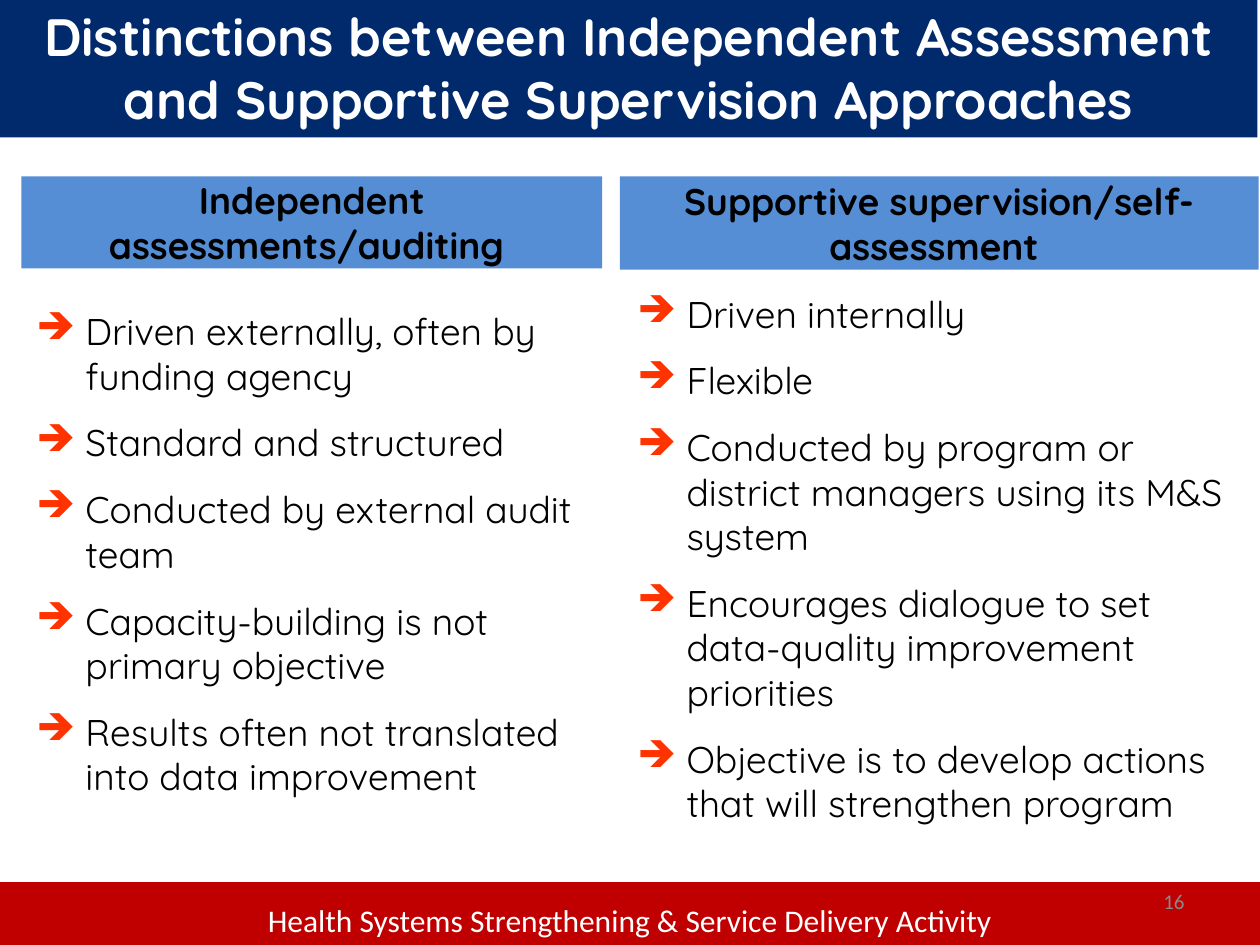
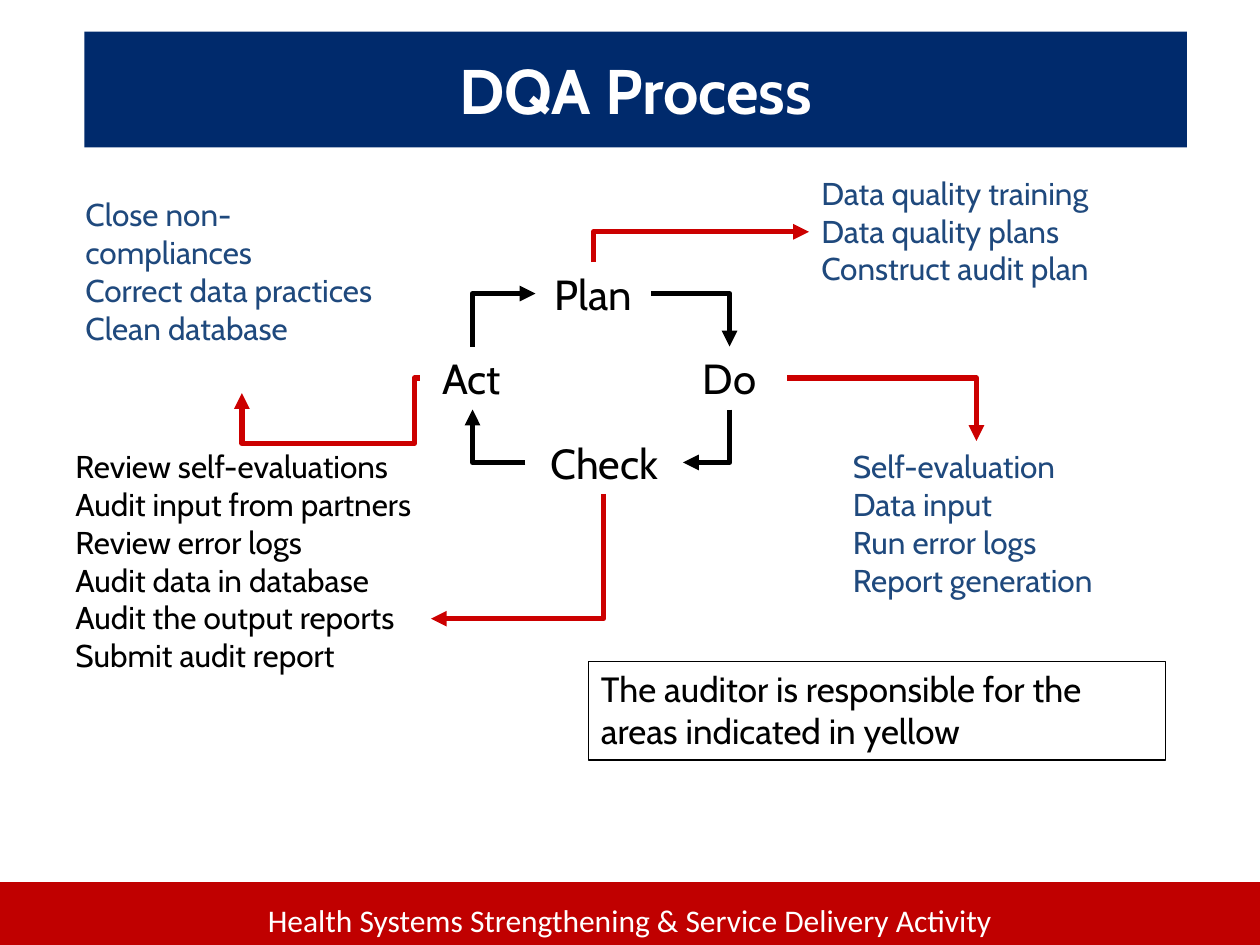
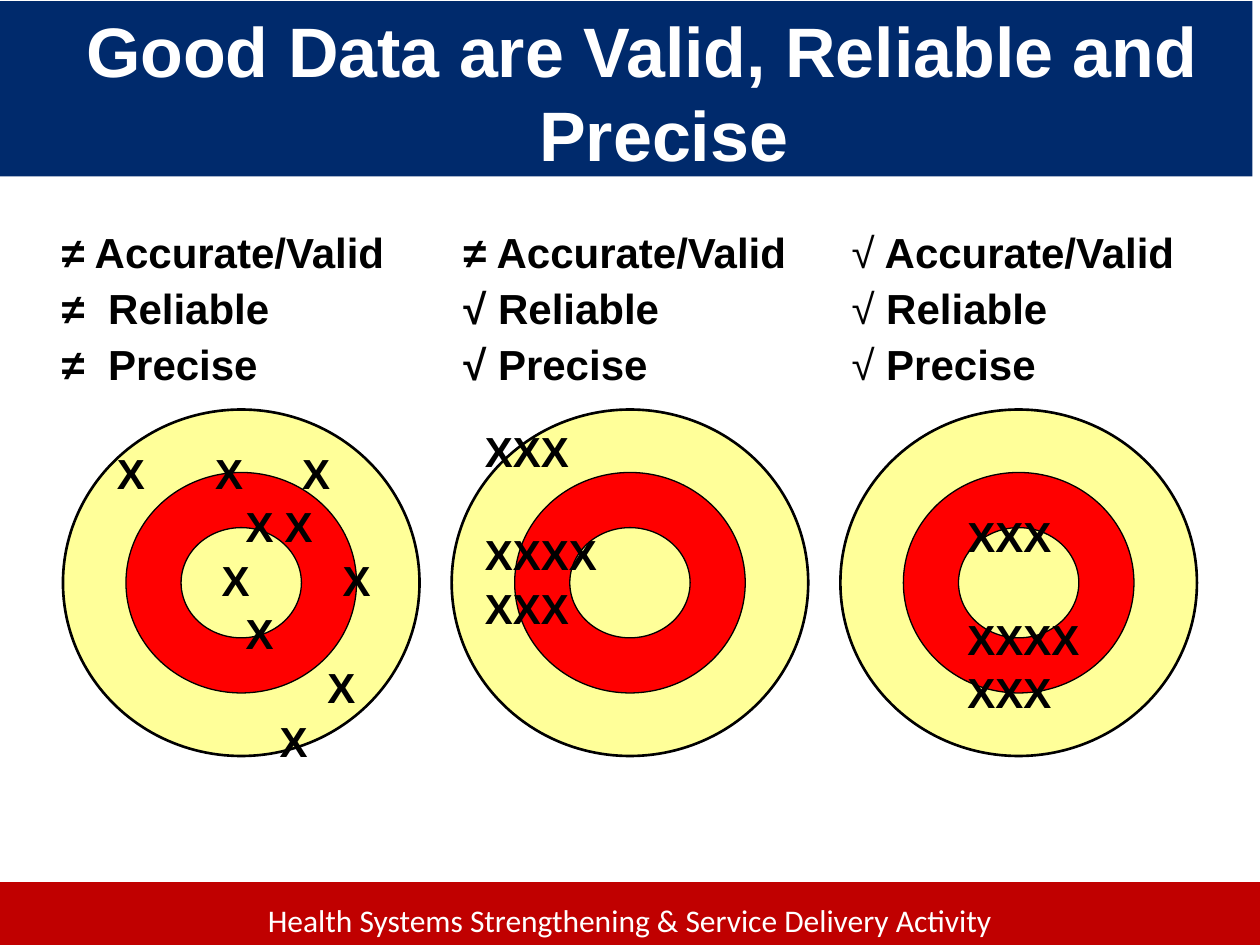
from lxml.etree import SubElement
from pptx import Presentation
from pptx.dml.color import RGBColor
from pptx.enum.shapes import MSO_CONNECTOR, MSO_SHAPE
from pptx.enum.text import MSO_ANCHOR, PP_ALIGN
from pptx.oxml.ns import qn
from pptx.util import Inches, Pt

NAVY = RGBColor(0x00, 0x2A, 0x6C)
RED = RGBColor(0xC0, 0x00, 0x00)
SKY = RGBColor(0x55, 0x8E, 0xD5)
BLUE = RGBColor(0x1F, 0x49, 0x7D)
ORANGE = RGBColor(0xFF, 0x33, 0x00)
ARROW = RGBColor(0xCC, 0x00, 0x00)
CREAM = RGBColor(0xFF, 0xFF, 0x99)
BRIGHT = RGBColor(0xFF, 0x00, 0x00)
GREY = RGBColor(0x89, 0x89, 0x89)
WHITE = RGBColor(0xFF, 0xFF, 0xFF)
BLACK = RGBColor(0x00, 0x00, 0x00)

CENTER = {"alignment": PP_ALIGN.CENTER}
HEAD = {"name": "Quicksand", "size": Pt(21.2), "bold": True}
BODY = {"name": "Quicksand", "size": Pt(21.2)}
STAGE = {"name": "Cabin", "size": Pt(24)}
NOTE = {"name": "Cabin", "size": Pt(18)}
MARK = {"name": "Arial", "size": Pt(24), "bold": True}


def apply(target, values):
    for name, value in values.items():
        setattr(target, name, value)


def add_run(para, text, font, color):
    run = para.add_run()
    run.text = text
    apply(run.font, font)
    run.font.color.rgb = color
    return run


def write(shape, rows, font, color=BLACK, layout=None, anchor=MSO_ANCHOR.TOP):
    frame = shape.text_frame
    apply(frame, {"word_wrap": True, "vertical_anchor": anchor})
    paras = []
    for index, row in enumerate(rows):
        para = frame.add_paragraph() if index else frame.paragraphs[0]
        apply(para, {"alignment": PP_ALIGN.LEFT, **(layout or {})})
        if row:
            add_run(para, row, font, color)
        paras.append(para)
    return paras


def add_text(slide, box, rows, font, color=BLACK, layout=None, anchor=MSO_ANCHOR.TOP):
    shape = slide.shapes.add_textbox(*map(Inches, box))
    return write(shape, rows, font, color, layout, anchor)


def add_form(slide, kind, box, fill=None, line=None, width=1):
    shape = slide.shapes.add_shape(kind, *map(Inches, box))
    shape.shadow.inherit = False
    if fill is None:
        shape.fill.background()
    else:
        shape.fill.solid()
        shape.fill.fore_color.rgb = fill
    if line is None:
        shape.line.fill.background()
    else:
        shape.line.color.rgb = line
        shape.line.width = Pt(width)
    return shape


def add_band(slide, box, text, font, fill=NAVY, color=WHITE, anchor=MSO_ANCHOR.TOP):
    shape = add_form(slide, MSO_SHAPE.RECTANGLE, box, fill)
    return write(shape, [text], font, color, CENTER, anchor)


def set_tabs(para, stops):
    tabs = SubElement(para._p.get_or_add_pPr(), qn("a:tabLst"))
    for stop in stops:
        SubElement(tabs, qn("a:tab"), pos=str(Inches(stop)), algn="l")


def add_list(slide, box, rows):
    space = {"space_before": Pt(4.2), "space_after": Pt(8.5)}
    for para in add_text(slide, box, rows, BODY, layout=space):
        props = para._p.get_or_add_pPr()
        apply_indent(props, 0.39, -0.39)
        color = SubElement(props, qn("a:buClr"))
        SubElement(color, qn("a:srgbClr"), val=str(ORANGE))
        SubElement(props, qn("a:buChar"), char="➔")


def apply_indent(props, left, first):
    props.set("marL", str(Inches(left)))
    props.set("indent", str(Inches(first)))


def add_bend(slide, start, end, color, kind="bentConnector2", turn=0, bends=()):
    mid = [(a + b) / 2 for a, b in zip(start, end)]
    half = [(b - a) / 2 for a, b in zip(start, end)]
    if turn:
        half = [abs(side) for side in half]
        if turn % 2:
            half.reverse()
    ends = [m - h for m, h in zip(mid, half)] + [m + h for m, h in zip(mid, half)]
    link = slide.shapes.add_connector(MSO_CONNECTOR.ELBOW, *map(Inches, ends))
    link.line.color.rgb = color
    link.line.width = Pt(3)
    props = link._element.spPr
    if turn:
        props.find(qn("a:xfrm")).set("rot", str(turn * 5400000))
    shape = props.find(qn("a:prstGeom"))
    shape.set("prst", kind)
    guides = shape.find(qn("a:avLst"))
    for index, bend in enumerate(bends, 1):
        SubElement(guides, qn("a:gd"), name=f"adj{index}", fmla=f"val {bend}")
    SubElement(props.find(qn("a:ln")), qn("a:tailEnd"), type="triangle")
    SubElement(props, qn("a:effectLst"))


def add_turn(slide, start, end, color):
    right, down = end[0] > start[0], end[1] > start[1]
    turns = {(True, True): 0, (False, True): 1, (False, False): 2, (True, False): 3}
    add_bend(slide, start, end, color, turn=turns[right, down])


def new_slide(deck):
    slide = deck.slides.add_slide(deck.slide_layouts[6])
    add_form(slide, MSO_SHAPE.RECTANGLE, (0, 7, 10, 0.58), RED)
    add_text(slide, (0, 7.1, 10, 0.4),
             ["Health Systems Strengthening & Service Delivery Activity"],
             {"name": "Calibri", "size": Pt(18)}, WHITE, CENTER)
    return slide


def add_compare(deck):
    slide = new_slide(deck)
    columns = [
        ((0.17, 1.4, 4.61, 0.73), "Independent assessments/auditing ",
         (0.19, 2.4, 4.53, 4.77),
         ["Driven externally, often by funding agency",
          "Standard and structured",
          "Conducted by external audit team",
          "Capacity-building is not primary objective",
          "Results often not translated into data improvement"]),
        ((4.92, 1.4, 5.07, 0.74), "Supportive supervision/self-assessment ",
         (4.96, 2.26, 4.85, 4.91),
         ["Driven internally",
          "Flexible ",
          "Conducted by program or district managers using its M&S system",
          "Encourages dialogue to set data-quality improvement priorities",
          "Objective is to develop actions that will strengthen program"]),
    ]
    for top, head, box, rows in columns:
        add_band(slide, top, head, HEAD, SKY, BLACK, MSO_ANCHOR.MIDDLE)
        add_list(slide, box, rows)
    add_band(slide, (0, -0.02, 9.98, 1.11),
             "Distinctions between Independent Assessment and Supportive Supervision Approaches",
             {"name": "Quicksand", "size": Pt(30), "bold": True})
    add_text(slide, (7.17, 6.95, 2.33, 0.4), ["16"],
             {"name": "Calibri", "size": Pt(12)}, GREY,
             {"alignment": PP_ALIGN.RIGHT}, MSO_ANCHOR.MIDDLE)


def add_cycle(deck):
    slide = new_slide(deck)
    add_band(slide, (0.67, 0.25, 8.75, 0.92), "DQA Process",
             {"name": "Cabin", "size": Pt(36), "bold": True}, anchor=MSO_ANCHOR.MIDDLE)
    stages = {
        "Plan": (4.25, 2.08, 0.92, 0.5),
        "Do": (5.33, 2.75, 0.92, 0.5),
        "Check": (4.17, 3.42, 1.25, 0.5),
        "Act": (3.33, 2.75, 0.83, 0.5),
    }
    for name, box in stages.items():
        add_text(slide, box, [name], STAGE, layout=CENTER)
    turns = [
        ((5.17, 2.33), (5.79, 2.75), BLACK),
        ((5.79, 3.25), (5.42, 3.67), BLACK),
        ((4.17, 3.67), (3.75, 3.25), BLACK),
        ((3.75, 2.75), (4.25, 2.33), BLACK),
        ((4.71, 2.08), (6.42, 1.84), ARROW),
        ((4.79, 3.92), (3.42, 4.91), ARROW),
        ((6.25, 3), (7.75, 3.5), ARROW),
    ]
    for start, end, color in turns:
        add_turn(slide, start, end, color)
    add_bend(slide, (3.33, 3), (1.92, 3.12), ARROW, "bentConnector4", bends=(2900, 432400))
    notes = [
        ((6.42, 1.33, 2.67, 1), BLUE,
         ["Data quality training", "Data quality plans", "Construct audit plan"]),
        ((0.58, 1.5, 2.67, 1.62), BLUE,
         ["Close non-compliances", "Correct data practices", "Clean database"]),
        ((0.5, 3.5, 2.92, 2.83), BLACK,
         ["Review self-evaluations", "Audit input from partners", "Review error logs",
          "Audit data in database", "Audit the output reports", "Submit audit report"]),
        ((6.67, 3.5, 2.17, 1.62), BLUE,
         ["Self-evaluation", "Data input", "Run error logs", "Report generation"]),
    ]
    for box, color, rows in notes:
        add_text(slide, box, rows, NOTE, color)
    frame = add_form(slide, MSO_SHAPE.RECTANGLE, (4.67, 5.25, 4.58, 0.78), line=BLACK)
    write(frame, ["The auditor is responsible for the areas indicated in yellow"],
          {"name": "Cabin", "size": Pt(20)})


def add_target(slide, left):
    add_form(slide, MSO_SHAPE.OVAL, (left, 3.25, 2.83, 2.75), CREAM, BLACK, 1.5)
    ring = add_form(slide, MSO_SHAPE.DONUT, (left + 0.5, 3.75, 1.83, 1.75),
                    BRIGHT, BLACK, 0.75)
    ring.adjustments[0] = 0.25


def add_traits(slide, box, marks, gap=" ", bold=True):
    traits = ["Accurate/Valid", "Reliable", "Precise"]
    paras = add_text(slide, box, [""] * 3, MARK, layout={"space_before": Pt(3)})
    for index, (para, mark, trait) in enumerate(zip(paras, marks, traits)):
        add_run(para, mark, {**MARK, "bold": bold}, BLACK)
        add_run(para, (gap if index else " ") + trait, MARK, BLACK)
        if gap == "\t":
            set_tabs(para, [0.37])


def add_hits(slide):
    rows = [
        ("X\tX\tX", [0.78, 1.47]),
        ("\tX\tX", [1.02, 1.33]),
        ("\tX\tX", [0.83, 1.79]),
        ("\tX", [1.02]),
        ("\tX", [1.67]),
        ("\tX", [1.29]),
    ]
    paras = add_text(slide, (0.83, 3.5, 2.25, 2.14), [row for row, _ in rows], MARK,
                     layout={"space_before": Pt(1.8)})
    for para, (_, stops) in zip(paras, rows):
        set_tabs(para, stops)
    for box in [(3.75, 3.33, 1.42, 1.32), (7.58, 4, 1.33, 1.32)]:
        paras = add_text(slide, box, ["XXX", "XXXX", "XXX"], MARK,
                         layout={"space_before": Pt(1.8)})
        paras[1].space_before = Pt(30)


def add_goals(deck):
    slide = new_slide(deck)
    title = add_band(slide, (0, 0.01, 9.94, 1.39),
                     "Good Data are Valid, Reliable and Precise ",
                     {"name": "Arial", "size": Pt(40), "bold": True})[0]
    title.space_before = Pt(3)
    apply_indent(title._p.get_or_add_pPr(), 0.75, -0.5)
    for index in range(3):
        add_target(slide, 0.5 + index * 3.085)
    add_hits(slide)
    add_traits(slide, (0.39, 1.75, 3.11, 1.99), "≠≠≠", "\t")
    add_traits(slide, (3.58, 1.75, 3, 2.28), "≠√√")
    add_traits(slide, (6.66, 1.75, 3.01, 1.39), "√√√", bold=False)


def main():
    deck = Presentation()
    deck.slide_width, deck.slide_height = Inches(10), Inches(7.5)
    add_compare(deck)
    add_cycle(deck)
    add_goals(deck)
    deck.save("out.pptx")


main()
